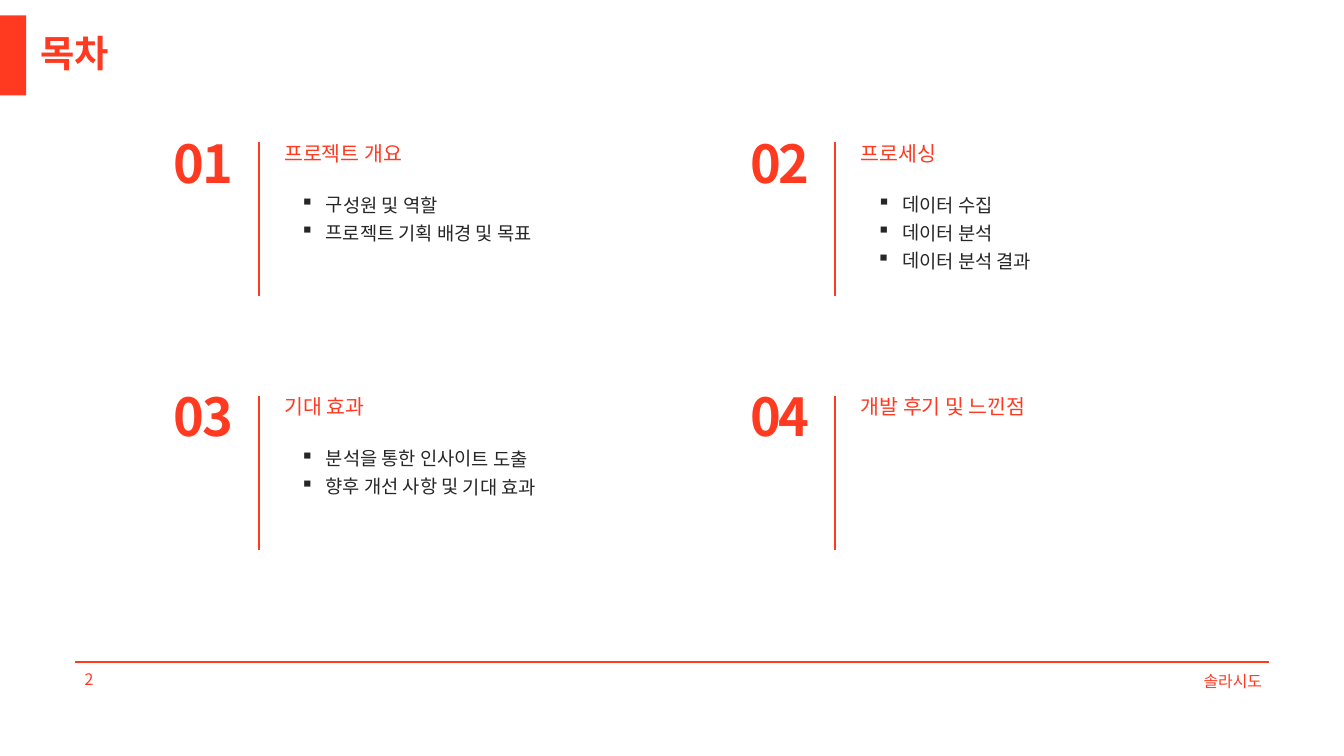
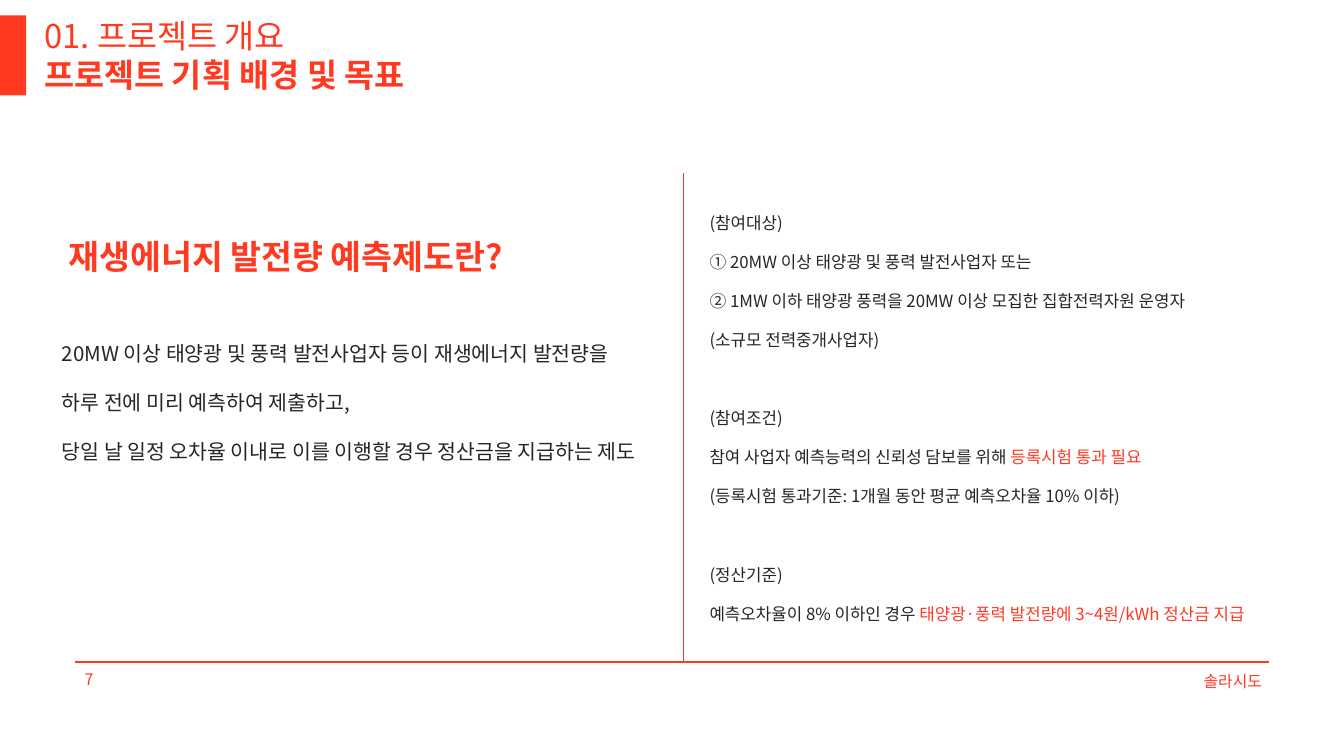
"""Build a contents slide and a project background slide with a shared frame."""
import lxml.etree
import pptx
import pptx.dml.color
import pptx.enum.shapes
import pptx.enum.text
import pptx.oxml.ns
import pptx.util

RED = pptx.dml.color.RGBColor(0xFF, 0x3A, 0x21)
ACCENT = pptx.dml.color.RGBColor(0xFF, 0x39, 0x21)
DARK = pptx.dml.color.RGBColor(0x26, 0x26, 0x26)
FONT = "Noto Sans CJK KR"
LEFT = pptx.enum.text.PP_ALIGN.LEFT
CENTER = pptx.enum.text.PP_ALIGN.CENTER
RIGHT = pptx.enum.text.PP_ALIGN.RIGHT

presentation = pptx.Presentation()
presentation.slide_width = pptx.util.Inches(20)
presentation.slide_height = pptx.util.Inches(11.25)
COLUMN = presentation.slide_width / 20
ROW = presentation.slide_height / 11.25
FOOTER_ROW = 9.85


def add_line(slide, start, end, width):
    """Draw a red line between two (column, row) points."""
    line = slide.shapes.add_connector(
        pptx.enum.shapes.MSO_CONNECTOR.STRAIGHT,
        int(start[0] * COLUMN), int(start[1] * ROW),
        int(end[0] * COLUMN), int(end[1] * ROW))
    line.line.color.rgb = RED
    line.line.width = pptx.util.Pt(width)
    lxml.etree.SubElement(line._element.spPr, pptx.oxml.ns.qn("a:effectLst"))


def add_text(slide, box, lines, size, color, spacing=None, bold=False, align=LEFT, inset=0):
    """Add one paragraph per line; words after a bar take the accent colour."""
    left, top, width, height = box
    shape = slide.shapes.add_textbox(
        int(left * COLUMN), int(top * ROW), int(width * COLUMN), int(height * ROW))
    frame = shape.text_frame
    frame.word_wrap = True
    frame.margin_left = frame.margin_right = int(inset * COLUMN)
    frame.margin_top = frame.margin_bottom = int(inset * ROW / 2)
    if spacing:
        frame.auto_size = pptx.enum.text.MSO_AUTO_SIZE.SHAPE_TO_FIT_TEXT
    else:
        frame.vertical_anchor = pptx.enum.text.MSO_ANCHOR.MIDDLE
    for index, line in enumerate(lines):
        paragraph = frame.paragraphs[0] if index == 0 else frame.add_paragraph()
        paragraph.alignment = align
        if spacing:
            paragraph.line_spacing = pptx.util.Pt(spacing)
        plain, _, accent = line.partition("|")
        for text, run_color in ((plain, color), (accent, ACCENT)):
            if text:
                run = paragraph.add_run()
                run.text = text
                run.font.size = pptx.util.Pt(size)
                run.font.bold = bold
                run.font.color.rgb = run_color
                run.font.name = FONT
                east_asian = lxml.etree.SubElement(
                    run.font._element, pptx.oxml.ns.qn("a:ea"))
                east_asian.set("typeface", FONT)
    return shape


slides = []
for page_number in ("2", "7"):
    slide = presentation.slides.add_slide(presentation.slide_layouts[6])
    title_bar = slide.shapes.add_shape(
        pptx.enum.shapes.MSO_SHAPE.RECTANGLE,
        0, int(0.23 * ROW), int(0.39 * COLUMN), int(1.19 * ROW))
    title_bar.shadow.inherit = False
    title_bar.fill.solid()
    title_bar.fill.fore_color.rgb = RED
    title_bar.line.fill.background()
    add_line(slide, (1.12, FOOTER_ROW), (18.88, FOOTER_ROW), 1.5)
    add_text(slide, (15.71, 9.94, 3.17, 0.4), ["솔라시도"], 17, ACCENT, align=RIGHT, inset=0.1)
    add_text(slide, (1.16, 9.9, 2.33, 0.4), [page_number], 17, ACCENT, inset=0.1)
    slides.append(slide)
contents_slide, background_slide = slides

add_text(contents_slide, (0.6, 0.58, 17.75, 0.56), ["목차"], 40, RED, 38.4, bold=True)
chapters = [
    ("프로젝트 개요", ["구성원 및 역할", "프로젝트 기획 배경 및 목표"]),
    ("프로세싱", ["데이터 수집", "데이터 분석", "데이터 분석 결과"]),
    ("기대 효과", ["분석을 통한 인사이트 도출", "향후 개선 사항 및 기대 효과"]),
    ("개발 후기 및 느낀점", []),
]
for index, (heading, topics) in enumerate(chapters):
    left = 2.5 + 8.58 * (index % 2)
    top = 2.04 + 3.77 * (index // 2)
    add_line(contents_slide, (left + 1.35, top + 2.37), (left + 1.35, top + 0.08), 2)
    number = add_text(contents_slide, (left, top, 1.06, 0.84), [f"{index + 1:02}"],
                      56, RED, 60.5, bold=True, align=CENTER)
    number.text_frame.paragraphs[0].runs[0].font._element.set("spc", "-260")
    add_text(contents_slide, (left + 1.73, top + 0.09, 3.58, 0.34), [heading], 22, RED, 24.2)
    if topics:
        topic_list = add_text(contents_slide, (left + 1.74, top + 0.76, 3.8, 0.41 * len(topics)),
                              topics, 20, DARK, 30)
        topic_list.rotation = 0.3
        for paragraph in topic_list.text_frame.paragraphs:
            paragraph.level = 1
            properties = paragraph._p.get_or_add_pPr()
            properties.set("marL", str(int(0.61 * COLUMN)))
            properties.set("indent", str(int(-0.38 * COLUMN)))
            bullet = lxml.etree.SubElement(properties, pptx.oxml.ns.qn("a:buChar"))
            bullet.set("char", "▪")

for top, title, bold in ((0.23, "01. 프로젝트 개요", False),
                         (0.81, "프로젝트 기획 배경 및 목표", True)):
    add_text(background_slide, (0.66, top, 12.39, 0.61), [title], 35, RED, 42, bold=bold)

definition = [
    "20MW 이상 태양광 및 풍력 발전사업자 등이 재생에너지 발전량을",
    "하루 전에 미리 예측하여 제출하고,",
    "당일 날 일정 오차율 이내로 이를 이행할 경우 정산금을 지급하는 제도",
]
add_text(background_slide, (0.92, 4.72, 8.94, 2.64), definition, 22, DARK, 52.3)
question = add_text(background_slide, (0.92, 3.34, 6.7, 0.79),
                    ["재생에너지 발전량 예측제도란?"], 36, RED, 52.3, bold=True, inset=0.1)
question.text_frame.word_wrap = False

add_line(background_slide, (10.17, 2.58), (10.17, FOOTER_ROW), 1.5)
rules = [
    "(참여대상)",
    "① 20MW 이상 태양광 및 풍력 발전사업자 또는",
    "② 1MW 이하 태양광 풍력을 20MW 이상 모집한 집합전력자원 운영자",
    "(소규모 전력중개사업자)",
    "(참여조건)",
    "참여 사업자 예측능력의 신뢰성 담보를 위해 |등록시험 통과 필요",
    "(등록시험 통과기준: 1개월 동안 평균 예측오차율 10% 이하)",
    "(정산기준)",
    "예측오차율이 8% 이하인 경우 |태양광·풍력 발전량에 3~4원/kWh 정산금 지급",
]
rules_box = add_text(background_slide, (10.17, 2.84, 9.03, 7.01), rules, 18, DARK, 41.8, inset=0.1)
for paragraph in rules_box.text_frame.paragraphs:
    paragraph.level = 1
    properties = paragraph._p.get_or_add_pPr()
    properties.set("marL", str(int(0.29 * COLUMN)))
    properties.set("indent", "0")
    if paragraph.text in ("(참여조건)", "(정산기준)"):
        paragraph.space_before = pptx.util.Pt(41.8)

presentation.save("out.pptx")
